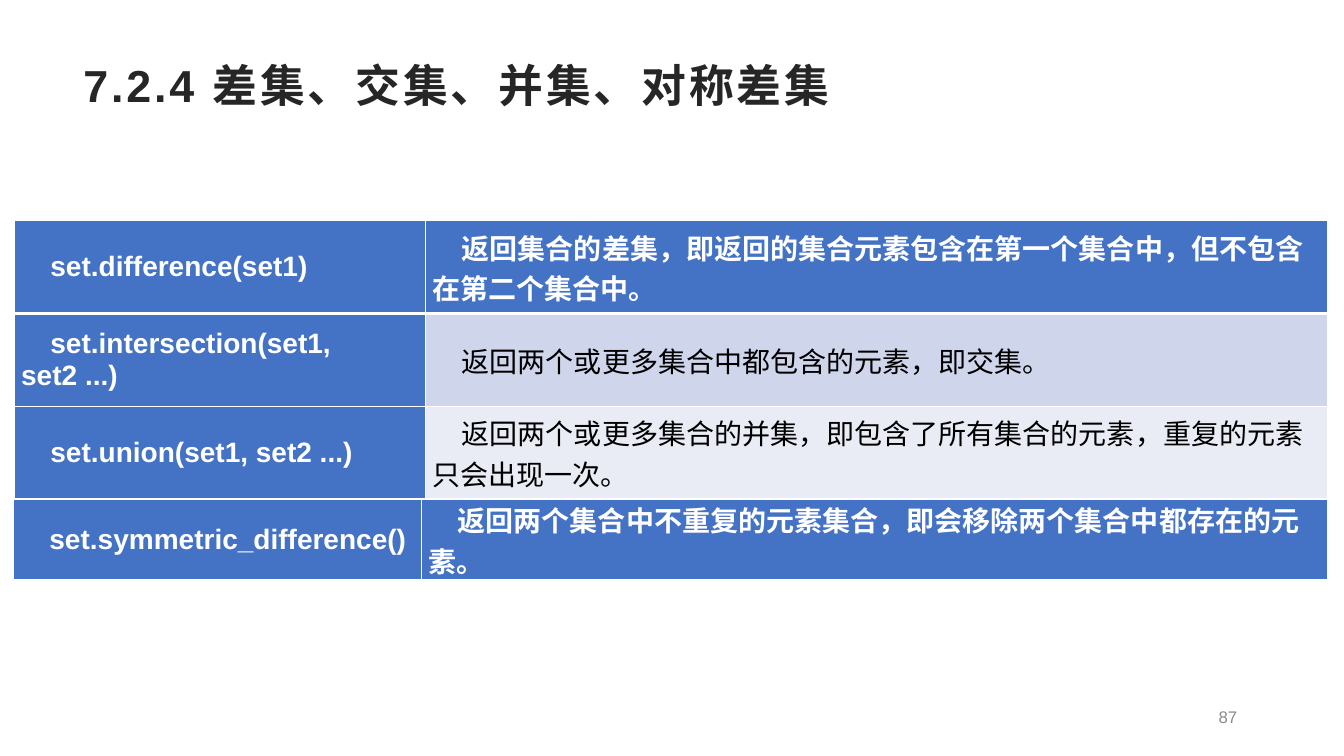
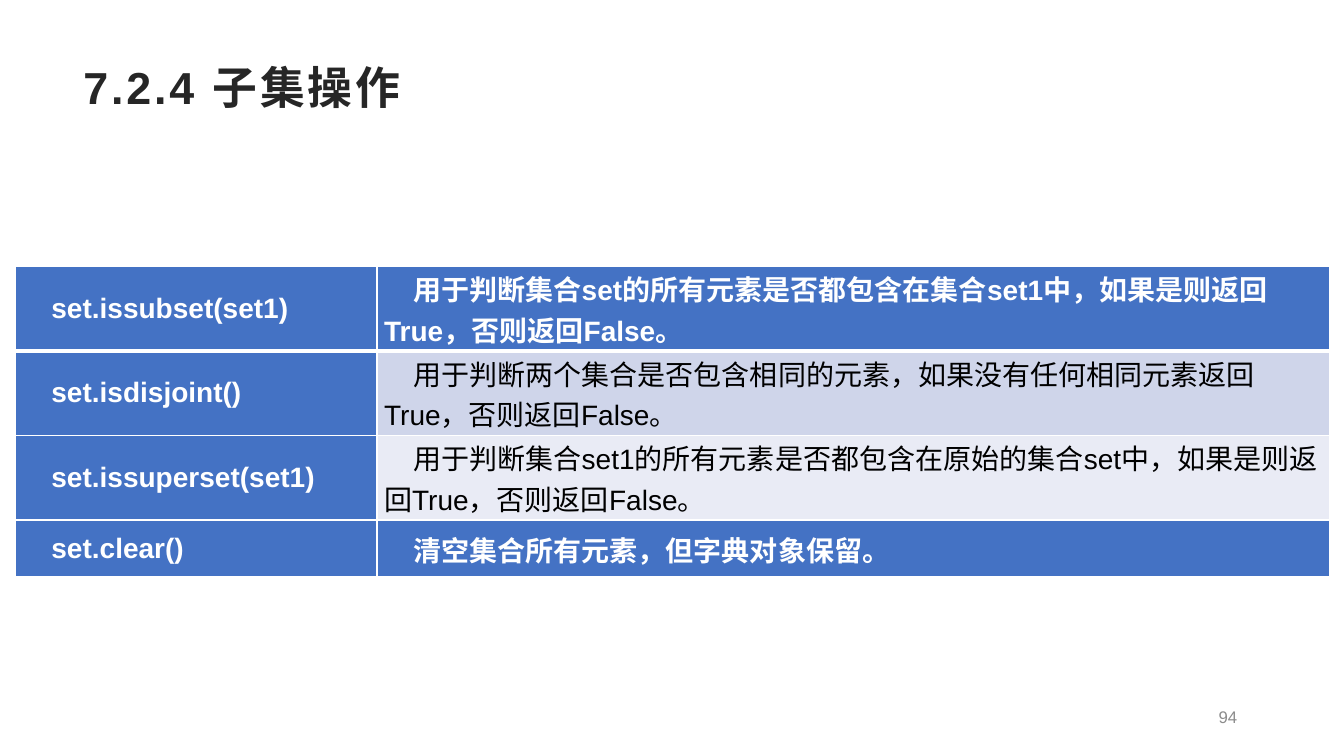
from dataclasses import dataclass

from pptx import Presentation
from pptx.dml.color import RGBColor as RGB
from pptx.enum.text import MSO_ANCHOR as ANCHOR, PP_ALIGN as ALIGN
from pptx.oxml.ns import qn
from pptx.util import Inches, Pt
from lxml.etree import SubElement


@dataclass(frozen=True)
class Theme:
    font: str = "Arial"
    dark: str = "262626"
    grey: str = "8C8C8C"
    white: str = "FFFFFF"
    black: str = "000000"
    blue: str = "4472C4"
    bands: tuple = ("CFD5EA", "E9EBF5")
    title_size: int = 32
    cell_size: int = 20
    number_size: int = 12
    thin: int = 1
    thick: int = 3


class Deck:
    """Holds the theme and the slide being built."""

    def __init__(self, theme):
        self.theme = theme
        self.prs = Presentation()
        self.prs.slide_width = Inches(13.33)
        self.prs.slide_height = Inches(7.5)
        self.s = None

    def slide(self):
        self.s = self.prs.slides.add_slide(self.prs.slide_layouts[6])

    def run(self, p, text, size, color, bold=False):
        r = p.add_run()
        r.text = text
        r.font.name = self.theme.font
        r.font.size = Pt(size)
        r.font.bold = bold
        r.font.color.rgb = RGB.from_string(color)
        return r

    def box(self, x, y, w, h):
        sp = self.s.shapes.add_textbox(Inches(x), Inches(y), Inches(w), Inches(h))
        tf = sp.text_frame
        tf.word_wrap = True
        tf.vertical_anchor = ANCHOR.MIDDLE
        return tf.paragraphs[0]

    def title(self, text, y):
        t = self.theme
        p = self.box(0.73, y, 11.87, 0.78)
        p.line_spacing = 0.9
        r = self.run(p, text, t.title_size, t.dark, bold=True)
        r.font._element.set("spc", "200")

    def number(self, n):
        t = self.theme
        p = self.box(9.42, 6.94, 2.95, 0.35)
        p.alignment = ALIGN.RIGHT
        self.run(p, str(n), t.number_size, t.grey)

    def borders(self, cell, top, bottom):
        """Draw white cell edges; they must come before the fill."""
        tc_pr = cell._tc.get_or_add_tcPr()
        widths = {"lnL": self.theme.thin, "lnR": self.theme.thin,
                  "lnT": top, "lnB": bottom}
        for tag, width in widths.items():
            ln = SubElement(tc_pr, qn("a:" + tag), w=str(Pt(width)))
            fill = SubElement(ln, qn("a:solidFill"))
            SubElement(fill, qn("a:srgbClr"), val=self.theme.white)

    def cell(self, cell, text, fill, color, bold):
        cell.fill.solid()
        cell.fill.fore_color.rgb = RGB.from_string(fill)
        cell.vertical_anchor = ANCHOR.MIDDLE
        cell.margin_left = cell.margin_right = Inches(0.07)
        cell.margin_top = cell.margin_bottom = 0
        p = cell.text_frame.paragraphs[0]
        p_pr = p._p.get_or_add_pPr()
        p_pr.set("marL", "0")
        p_pr.set("indent", str(Inches(0.29)))
        self.run(p, text, self.theme.cell_size, color, bold)

    def table(self, x, y, cols, row_h, rows):
        """Method names on the left; the first row is a header row."""
        t = self.theme
        frame = self.s.shapes.add_table(
            len(rows), len(cols), Inches(x), Inches(y),
            Inches(sum(cols)), Inches(row_h * len(rows)))
        tbl = frame.table
        tbl.first_row = tbl.horz_banding = False
        for col, w in zip(tbl.columns, cols):
            col.width = Inches(w)
        for i, texts in enumerate(rows):
            tbl.rows[i].height = Inches(row_h)
            top = t.thick if i == 1 else t.thin
            bottom = t.thick if i == 0 else t.thin
            for j, text in enumerate(texts):
                head = i == 0 or j == 0
                fill = t.blue if head else t.bands[(i - 1) % 2]
                cell = tbl.cell(i, j)
                self.borders(cell, top, bottom)
                self.cell(cell, text, fill, t.white if head else t.black, head)


def main():
    deck = Deck(Theme())

    # Difference, intersection, union, symmetric difference
    deck.slide()
    deck.title("7.2.4 差集、交集、并集、对称差集", 0.48)
    deck.table(0.14, 2.19, (4.08, 8.95), 0.92, [
        ("set.difference(set1)",
         "返回集合的差集，即返回的集合元素包含在第一个集合中，但不包含在第二个集合中。"),
        ("set.intersection(set1, set2 ...)",
         "返回两个或更多集合中都包含的元素，即交集。"),
        ("set.union(set1, set2 ...)",
         "返回两个或更多集合的并集，即包含了所有集合的元素，重复的元素只会出现一次。"),
    ])
    deck.table(0.13, 4.95, (4.05, 8.99), 0.81, [
        ("set.symmetric_difference()",
         "返回两个集合中不重复的元素集合，即会移除两个集合中都存在的元素。"),
    ])
    deck.number(87)

    # Subset operations
    deck.slide()
    deck.title("7.2.4 子集操作", 0.5)
    cols = (3.59, 9.45)
    deck.table(0.15, 2.64, cols, 0.84, [
        ("set.issubset(set1)",
         "用于判断集合set的所有元素是否都包含在集合set1中，如果是则返回True，否则返回False。"),
        ("set.isdisjoint()",
         "用于判断两个集合是否包含相同的元素，如果没有任何相同元素返回True，否则返回False。"),
        ("set.issuperset(set1)",
         "用于判断集合set1的所有元素是否都包含在原始的集合set中，如果是则返回True，否则返回False。"),
    ])
    deck.table(0.15, 5.16, cols, 0.57, [
        ("set.clear()", "清空集合所有元素，但字典对象保留。"),
    ])
    deck.number(94)

    deck.prs.save("out.pptx")


if __name__ == "__main__":
    main()
